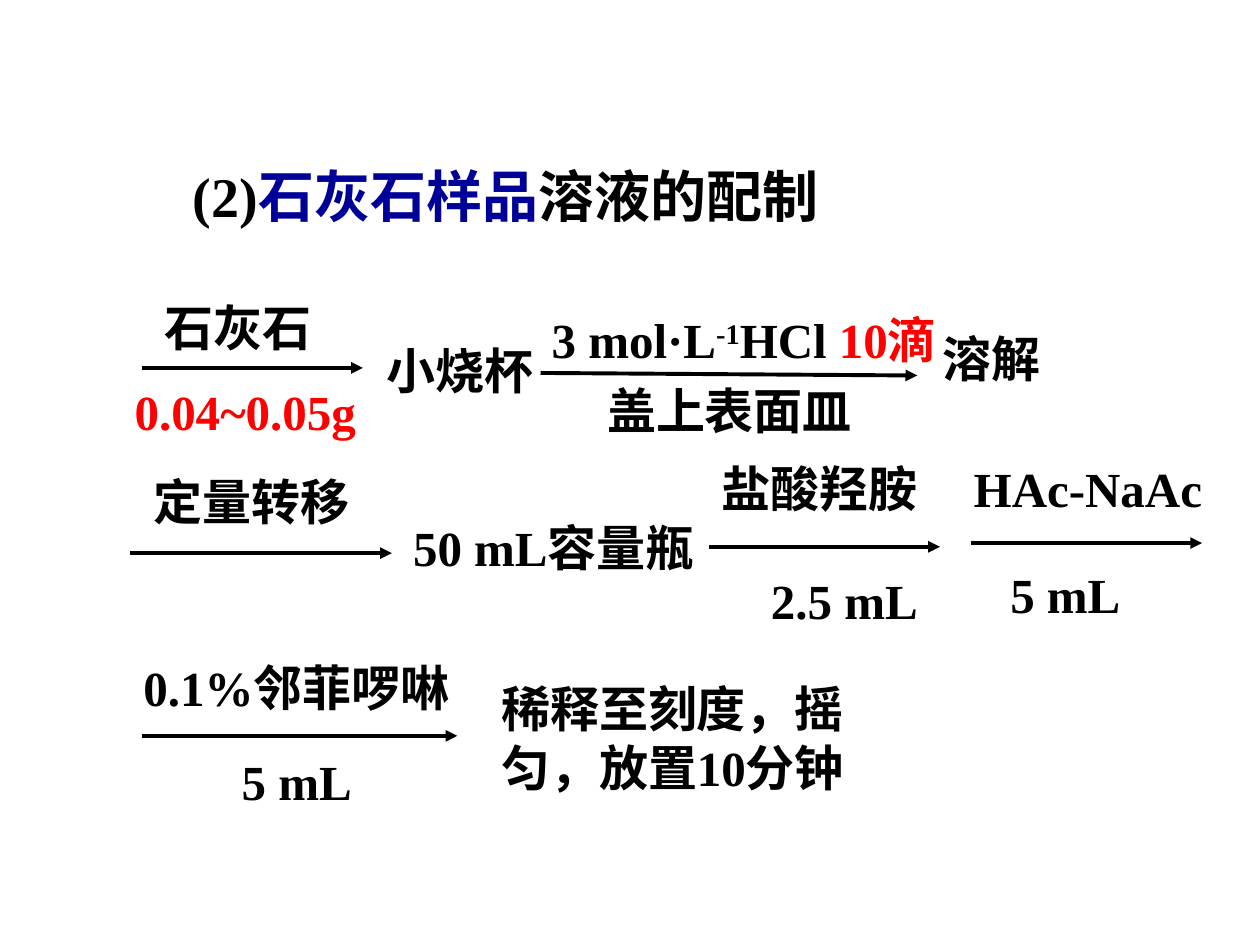
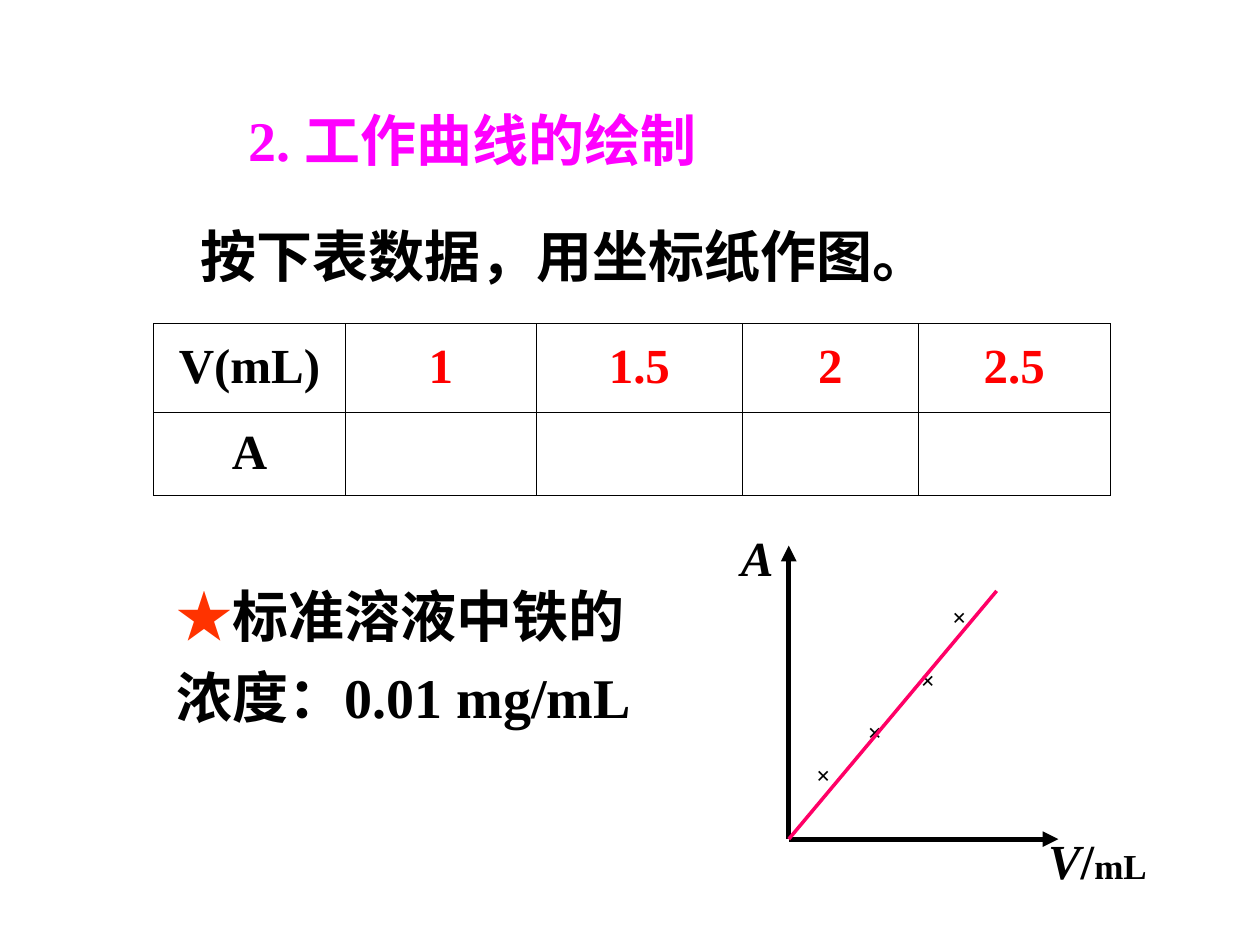
from dataclasses import dataclass
from typing import Any, NamedTuple

import pptx
import pptx.dml.color
import pptx.enum.shapes
import pptx.enum.text
import pptx.oxml
import pptx.oxml.ns
import pptx.util
from pptx.util import Inches, Pt

COLORS = {
    "ink": "000000",
    "red": "FF0000",
    "navy": "000099",
    "magenta": "FF00FF",
    "star": "FF3300",
    "curve": "FF0066",
}
LATIN = "Times New Roman"
EAST_ASIAN = "Noto Sans CJK SC"
LINE_HEIGHT = 1.2
TITLE_SIZE = 32
STEP_SIZE = 28
TITLE_ONLY = 5


class Run(NamedTuple):
    text: str
    color: str = "ink"
    size: int = 0
    font: str = LATIN
    italic: bool = False
    superscript: bool = False


class Para(NamedTuple):
    runs: list[Run]
    spacing: float = 1.0
    indent: float = 0.0
    centered: bool = False


@dataclass
class Label:
    left: float
    top: float
    width: float
    height: float
    paras: list[Para]
    size: int = STEP_SIZE
    wrap: bool = False


@dataclass
class Line:
    x1: float
    y1: float
    x2: float
    y2: float
    width: float = 2.25
    color: str = "ink"
    arrow: bool = True


def rgb(name: str) -> pptx.dml.color.RGBColor:
    return pptx.dml.color.RGBColor.from_string(COLORS[name])


def plain(text: str, color: str = "ink", **layout: Any) -> Para:
    """Paragraph made of a single run."""
    return Para([Run(text, color)], **layout)


def add_child(parent: Any, tag: str, **attributes: str) -> Any:
    child = pptx.oxml.parse_xml(f"<{tag} {pptx.oxml.ns.nsdecls('a')}/>")
    for name, value in attributes.items():
        child.set(name, value)
    parent.append(child)
    return child


def format_run(r: Any, run: Run, size: int) -> None:
    r.text = run.text
    r.font.size = Pt(run.size or size)
    r.font.bold = True
    r.font.italic = run.italic
    r.font.color.rgb = rgb(run.color)
    r.font.name = run.font
    rpr = r.font._element
    add_child(rpr, "a:ea", typeface=EAST_ASIAN)
    if run.superscript:
        rpr.set("baseline", "30000")


def write(tf: Any, paras: list[Para], size: int) -> None:
    align = pptx.enum.text.PP_ALIGN
    for i, para in enumerate(paras):
        p = tf.add_paragraph() if i else tf.paragraphs[0]
        p.alignment = align.CENTER if para.centered else align.LEFT
        p.line_spacing = Pt(round(LINE_HEIGHT * size * para.spacing, 1))
        if para.indent:
            p._p.get_or_add_pPr().set("marL", str(Inches(para.indent)))
        for run in para.runs:
            format_run(p.add_run(), run, size)


def fill_label(sp: Any, label: Label) -> None:
    sp.left, sp.top = Inches(label.left), Inches(label.top)
    sp.width, sp.height = Inches(label.width), Inches(label.height)
    tf = sp.text_frame
    tf.auto_size = pptx.enum.text.MSO_AUTO_SIZE.NONE
    tf.vertical_anchor = pptx.enum.text.MSO_ANCHOR.TOP
    tf.word_wrap = label.wrap
    write(tf, label.paras, label.size)


def draw_label(s: Any, label: Label) -> None:
    fill_label(s.shapes.add_textbox(0, 0, 0, 0), label)


def draw_line(s: Any, line: Line) -> None:
    sp = s.shapes.add_connector(
        pptx.enum.shapes.MSO_CONNECTOR.STRAIGHT,
        Inches(line.x1), Inches(line.y1), Inches(line.x2), Inches(line.y2))
    sp.line.color.rgb = rgb(line.color)
    sp.line.width = Pt(line.width)
    if line.arrow:
        add_child(sp.line._get_or_add_ln(), "a:tailEnd", type="triangle")
    add_child(sp._element.spPr, "a:effectLst")


def add_titled_slide(prs: Any, title: Label) -> Any:
    s = prs.slides.add_slide(prs.slide_layouts[TITLE_ONLY])
    fill_label(s.shapes.title, title)
    return s


def border_cell(cell: Any) -> None:
    tcpr = cell._tc.get_or_add_tcPr()
    for i, side in enumerate(("lnL", "lnR", "lnT", "lnB")):
        ln = pptx.oxml.parse_xml(
            f'<a:{side} {pptx.oxml.ns.nsdecls("a")} w="{Pt(0.45)}"><a:solidFill>'
            f'<a:srgbClr val="{COLORS["ink"]}"/></a:solidFill></a:{side}>')
        tcpr.insert(i, ln)


def draw_absorbance_table(s: Any) -> None:
    rows = [["V(mL)", "1", "1.5", "2", "2.5"], ["A", "", "", "", ""]]
    col_widths = [1.52, 1.52, 1.63, 1.4, 1.52]
    row_heights = [0.7, 0.66]
    table = s.shapes.add_table(
        len(rows), len(col_widths), Inches(1.22), Inches(2.57),
        Inches(sum(col_widths)), Inches(sum(row_heights))).table
    table.first_row = table.horz_banding = False
    for column, width in zip(table.columns, col_widths):
        column.width = Inches(width)
    for i, (row, height) in enumerate(zip(rows, row_heights)):
        table.rows[i].height = Inches(height)
        for j, text in enumerate(row):
            cell = table.cell(i, j)
            cell.fill.background()
            cell.vertical_anchor = pptx.enum.text.MSO_ANCHOR.MIDDLE
            if text:
                para = plain(text, "red" if j else "ink", spacing=0.9, centered=True)
                write(cell.text_frame, [para], STEP_SIZE)
            border_cell(cell)


def build_sample_slide(prs: Any) -> None:
    s = add_titled_slide(prs, Label(1.43, 1.23, 6.5, 0.64, [Para([
        Run("(2)"), Run("石灰石样品", "navy"), Run("溶液的配制")])], TITLE_SIZE))
    acid = Para([Run("3 mol·L"), Run("-1", superscript=True),
                 Run("HCl "), Run("10滴", "red")])
    labels = [
        Label(1.21, 2.31, 1.36, 0.57, [plain("石灰石")]),
        Label(0.97, 2.98, 1.95, 0.57, [plain("0.04~0.05g", "red")]),
        Label(2.97, 2.65, 1.36, 0.57, [plain("小烧杯")]),
        Label(4.28, 2.41, 3.35, 1.13,
              [acid, plain("盖上表面皿", spacing=1.2, indent=0.44)]),
        Label(7.38, 2.56, 0.97, 0.57, [plain("溶解")]),
        Label(1.12, 3.69, 1.75, 0.57, [plain("定量转移")]),
        Label(3.18, 4.06, 2.52, 0.57, [plain("50 mL容量瓶")]),
        Label(5.63, 3.59, 2, 1.58,
              [plain("盐酸羟胺"), plain("2.5 mL", spacing=1.9, indent=0.39)]),
        Label(7.63, 3.59, 2.03, 0.74,
              [plain("HAc-NaAc"), plain("5 mL", spacing=1.8, indent=0.29)]),
        Label(1.04, 5.17, 2.75, 1.33,
              [plain("0.1%邻菲啰啉"), plain("5 mL", spacing=1.6, indent=0.78)]),
        Label(3.88, 5.34, 3.17, 0.8,
              [plain("稀释至刻度，摇匀，放置10分钟")], wrap=True),
    ]
    for label in labels:
        draw_label(s, label)
    step_arrows = [
        Line(1.13, 2.92, 2.88, 2.92),
        Line(4.29, 2.96, 7.28, 2.98),
        Line(1.03, 4.39, 3.11, 4.39),
        Line(5.63, 4.34, 7.46, 4.34),
        Line(7.71, 4.31, 9.54, 4.31),
        Line(1.13, 5.84, 3.63, 5.84),
    ]
    for arrow in step_arrows:
        draw_line(s, arrow)


def draw_working_curve(s: Any) -> None:
    x0, y0 = 6.26, 6.66
    draw_line(s, Line(x0, y0, x0, 4.33, width=3))
    draw_line(s, Line(x0, y0, 8.4, y0, width=3))
    draw_label(s, Label(5.71, 4.14, 0.6, 0.57,
                        [Para([Run("A", italic=True)], centered=True)]))
    volume = [Run("V", italic=True), Run("/"), Run("mL", size=20)]
    draw_label(s, Label(8.22, 6.73, 0.98, 0.38,
                        [Para(volume, spacing=0.6, centered=True)]))
    for left, top in [(6.38, 5.98), (6.79, 5.64), (7.21, 5.23), (7.46, 4.73)]:
        draw_label(s, Label(left, top, 0.75, 0.34, [plain("×")], size=14))
    draw_line(s, Line(x0, y0, 7.91, 4.69, width=2, color="curve", arrow=False))


def build_curve_slide(prs: Any) -> None:
    s = add_titled_slide(prs, Label(
        1.87, 0.68, 7.26, 0.8,
        [plain("2. 工作曲线的绘制", "magenta", spacing=1.2)], TITLE_SIZE))
    draw_label(s, Label(1.49, 1.6, 7.6, 0.75,
                        [plain("按下表数据，用坐标纸作图。", spacing=1.2)], TITLE_SIZE))
    draw_absorbance_table(s)
    concentration = [Run("★", "star", font="Arial"),
                     Run("标准溶液中铁的浓度：0.01 mg/mL")]
    draw_label(s, Label(1.3, 4.46, 3.94, 1.38,
                        [Para(concentration, spacing=1.2)], TITLE_SIZE, wrap=True))
    draw_working_curve(s)


def main() -> None:
    prs = pptx.Presentation()
    prs.slide_width, prs.slide_height = Inches(10), Inches(7.5)
    build_sample_slide(prs)
    build_curve_slide(prs)
    prs.save("out.pptx")


if __name__ == "__main__":
    main()
